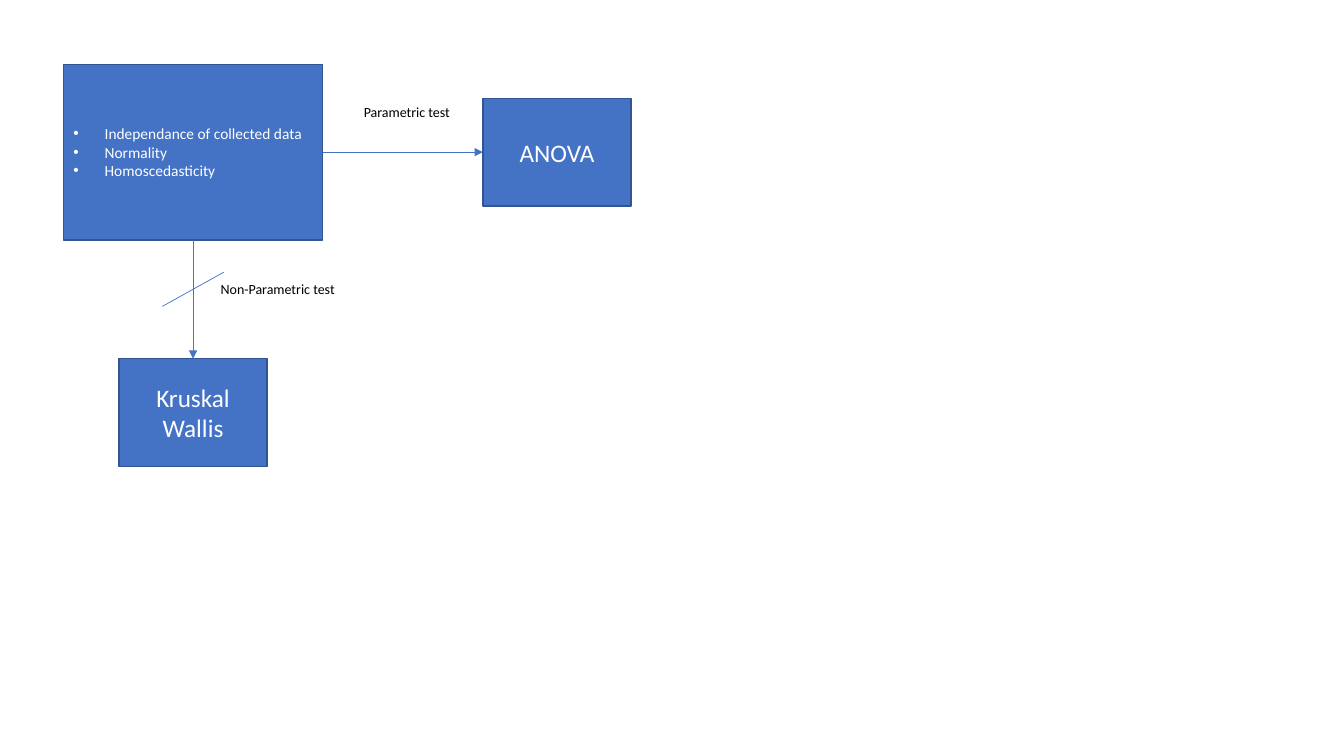
"""Build a slide showing how test assumptions lead to ANOVA or Kruskal Wallis."""
from lxml.etree import SubElement
from pptx import Presentation
from pptx.dml.color import RGBColor
from pptx.enum.shapes import MSO_CONNECTOR, MSO_SHAPE
from pptx.enum.text import MSO_ANCHOR, MSO_AUTO_SIZE, PP_ALIGN
from pptx.oxml.ns import qn
from pptx.util import Inches, Pt

BLUE = RGBColor(0x44, 0x72, 0xC4)
DARK_BLUE = RGBColor(0x32, 0x54, 0x91)
WHITE = RGBColor(0xFF, 0xFF, 0xFF)
BLACK = RGBColor(0, 0, 0)
FONT = "Calibri"

ASSUMPTIONS = ["Independance of collected data", "Normality", "Homoscedasticity"]
ASSUMPTIONS_BOX = (0.63, 0.64, 2.57, 1.74)
TEST_WIDTH, TEST_HEIGHT = 1.47, 1.07
ANOVA_LEFT, KRUSKAL_TOP = 4.79, 3.56
LABELS = [
    ("Parametric test", 3.51, 0.98, 1.08),
    ("Non-Parametric test", 2.09, 2.73, 1.42),
]
LABEL_HEIGHT = 0.27
SLASH_START, SLASH_END = (1.61, 3.04), (2.22, 2.7)
BULLET_INDENT = Inches(0.31)


def write(shape, lines, size, color, alignment):
    text_frame = shape.text_frame
    text_frame.word_wrap = True
    text_frame.text = "\n".join(lines)
    for paragraph in text_frame.paragraphs:
        paragraph.alignment = alignment
        for run in paragraph.runs:
            run.font.name = FONT
            run.font.size = Pt(size)
            run.font.color.rgb = color


def add_box(slide, place, lines, size, alignment):
    box = slide.shapes.add_shape(MSO_SHAPE.RECTANGLE, *map(Inches, place))
    box.shadow.inherit = False
    box.fill.solid()
    box.fill.fore_color.rgb = BLUE
    box.line.color.rgb = DARK_BLUE
    box.line.width = Pt(1)
    box.text_frame.vertical_anchor = MSO_ANCHOR.MIDDLE
    write(box, lines, size, WHITE, alignment)
    return box


def add_bullets(shape):
    for paragraph in shape.text_frame.paragraphs:
        properties = paragraph._p.get_or_add_pPr()
        properties.set("marL", str(BULLET_INDENT))
        properties.set("indent", str(-BULLET_INDENT))
        SubElement(properties, qn("a:buFont"), typeface="Arial")
        SubElement(properties, qn("a:buChar"), char="•")


def add_line(slide, kind, start, end, arrow=True):
    line = slide.shapes.add_connector(kind, *map(Inches, start + end))
    line.line.color.rgb = BLUE
    line.line.width = Pt(0.5)
    if arrow:
        SubElement(line.line._get_or_add_ln(), qn("a:tailEnd"), type="triangle")
    SubElement(line._element.spPr, qn("a:effectLst"))
    return line


presentation = Presentation()
presentation.slide_width = Inches(13.33)
presentation.slide_height = Inches(7.5)
slide = presentation.slides.add_slide(presentation.slide_layouts[6])

left, top, width, height = ASSUMPTIONS_BOX
center_x, center_y = left + width / 2, top + height / 2
anova_place = (ANOVA_LEFT, center_y - TEST_HEIGHT / 2, TEST_WIDTH, TEST_HEIGHT)
kruskal_place = (center_x - TEST_WIDTH / 2, KRUSKAL_TOP, TEST_WIDTH, TEST_HEIGHT)

assumptions = add_box(slide, ASSUMPTIONS_BOX, ASSUMPTIONS, 11, PP_ALIGN.LEFT)
add_bullets(assumptions)
anova = add_box(slide, anova_place, ["ANOVA"], 18, PP_ALIGN.CENTER)
kruskal = add_box(slide, kruskal_place, ["Kruskal Wallis"], 18, PP_ALIGN.CENTER)

to_anova = add_line(slide, MSO_CONNECTOR.ELBOW, (left + width, center_y), (ANOVA_LEFT, center_y))
to_anova.begin_connect(assumptions, 3)
to_anova.end_connect(anova, 1)
to_kruskal = add_line(slide, MSO_CONNECTOR.STRAIGHT, (center_x, top + height), (center_x, KRUSKAL_TOP))
to_kruskal.begin_connect(assumptions, 2)
to_kruskal.end_connect(kruskal, 0)
add_line(slide, MSO_CONNECTOR.STRAIGHT, SLASH_START, SLASH_END, arrow=False)

for text, label_left, label_top, label_width in LABELS:
    label = slide.shapes.add_textbox(*map(Inches, (label_left, label_top, label_width, LABEL_HEIGHT)))
    label.text_frame.auto_size = MSO_AUTO_SIZE.SHAPE_TO_FIT_TEXT
    write(label, [text], 10, BLACK, PP_ALIGN.LEFT)

presentation.save("out.pptx")
